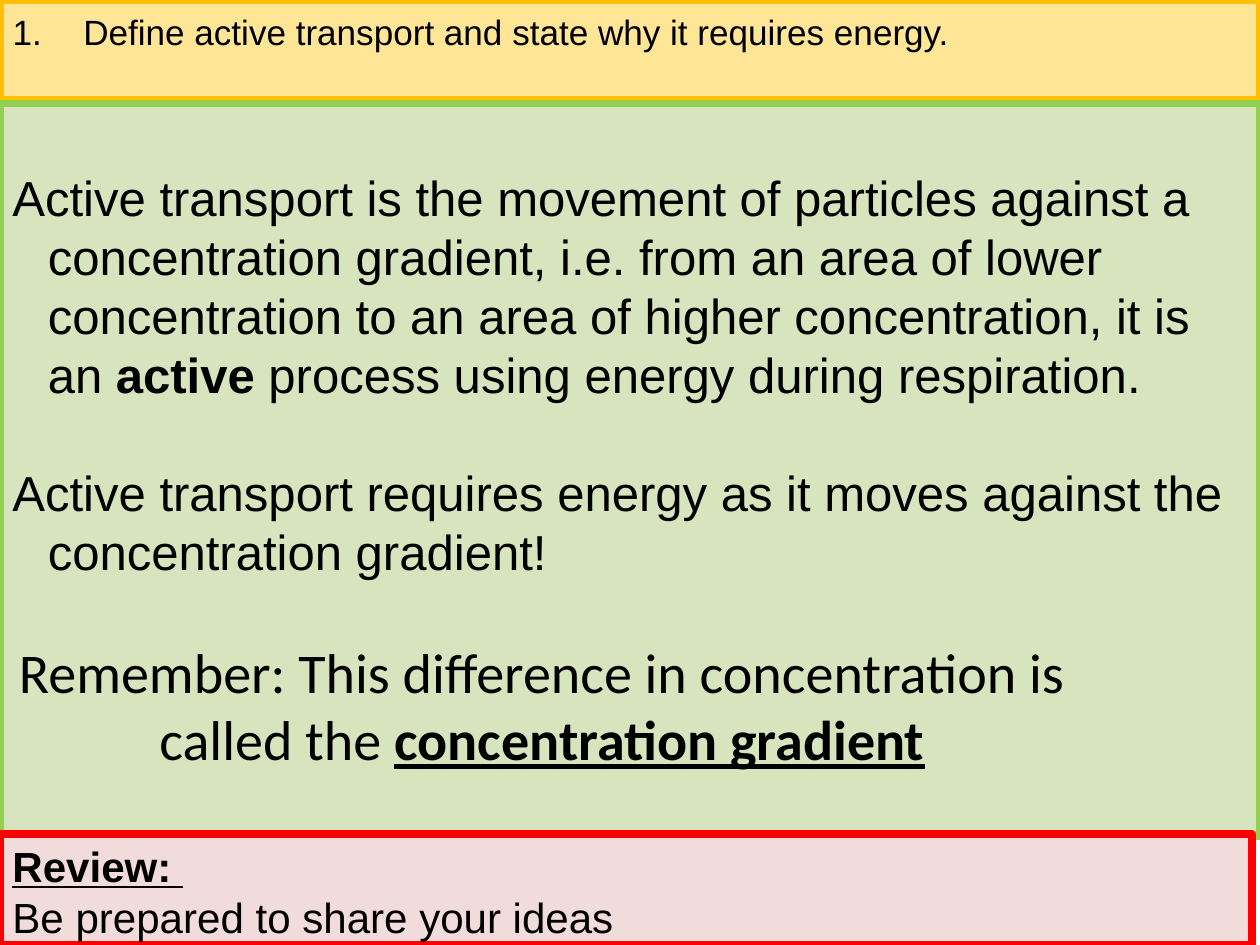
from pptx import Presentation
from pptx.dml.color import RGBColor
from pptx.enum.shapes import MSO_SHAPE as Shape
from pptx.enum.text import MSO_ANCHOR as Anchor, PP_ALIGN as Align
from pptx.oxml.ns import qn
from pptx.util import Inches, Pt
from lxml.etree import SubElement

PAGE = Pt(718.75), Pt(539)
WIDE = 9.98
BOLD = {"bold": True}
MARK = {"bold": True, "underline": True}


def color(text):
    return RGBColor.from_string(text)


def place(shape, box):
    for name, size in zip(("left", "top", "width", "height"), box):
        setattr(shape, name, Inches(size))


def paint(shape, fill, line):
    shape.fill.solid()
    shape.fill.fore_color.rgb = color(fill)
    shape.line.color.rgb = color(line)
    shape.line.width = Pt(4.5)


def write(shape, paras, size, face="Arial", indent=0, **form):
    """Fill a shape with paragraphs, each a list of (text, font values)."""
    frame = shape.text_frame
    frame.word_wrap = True
    frame.vertical_anchor = Anchor.TOP
    form = {"alignment": Align.LEFT, "space_before": Pt(0)} | form
    for i, runs in enumerate(paras):
        para = frame.add_paragraph() if i else frame.paragraphs[0]
        for name, value in form.items():
            setattr(para, name, value)
        if indent:
            props = para._p.get_or_add_pPr()
            props.set("marL", str(Inches(indent)))
            props.set("indent", str(-Inches(indent)))
        for text, style in runs:
            run = para.add_run()
            run.text = text
            font = {"name": face, "size": Pt(size), "bold": False} | style
            for name, value in font.items():
                setattr(run.font, name, value)
            run.font.color.rgb = color("000000")
    return frame


def panel(slide, box, fill, line):
    shape = slide.shapes.add_shape(Shape.RECTANGLE, *map(Inches, box))
    shape.shadow.inherit = False
    paint(shape, fill, line)
    return shape


def task(slide, box):
    title = slide.shapes.title
    place(title, box)
    paint(title, "FFE697", "FFC000")
    goal = "Define active transport and state why it requires energy."
    frame = write(title, [[(goal, {})]], 20, indent=0.56, line_spacing=1.1)
    props = frame.paragraphs[0]._p.get_or_add_pPr()
    SubElement(props, qn("a:buFont"), typeface="Arial")
    SubElement(props, qn("a:buAutoNum"), type="arabicPeriod")


def answer(slide, box):
    left, top, wide, high = box
    frame = write(panel(slide, box, "D7E4BD", "92D050"), [
        [("Active transport is the movement of particles against a "
          "concentration gradient, i.e. from an area of lower concentration "
          "to an area of higher concentration, it is an ", {}),
         ("active", BOLD),
         (" process using energy during respiration.", {})],
        [("Active transport requires energy as it moves against the "
          "concentration gradient!", {})],
    ], 28, indent=0.28)
    frame.margin_top = Inches(0.51)
    frame.paragraphs[1].space_before = Pt(33.6)

    note = slide.shapes.add_textbox(0, 0, 0, 0)
    place(note, (left - 0.36, top + 4.18, wide - 0.67, 1.18))
    write(note, [[
        ("Remember: This difference in concentration is called the ", {}),
        ("concentration gradient", MARK),
    ]], 32, "Calibri", alignment=Align.CENTER)


def review(slide, box):
    write(panel(slide, box, "F2DCDB", "FF0000"), [
        [("Review: ", MARK)],
        [("Be prepared to share your ideas", {})],
    ], 24)


def main():
    deck = Presentation()
    deck.slide_width, deck.slide_height = PAGE
    slide = deck.slides.add_slide(deck.slide_layouts[5])
    task(slide, (0, 0, WIDE, 0.79))
    answer(slide, (0, 0.82, WIDE, 5.8))
    review(slide, (0, 6.61, WIDE - 0.06, 0.88))
    deck.save("out.pptx")


if __name__ == "__main__":
    main()
